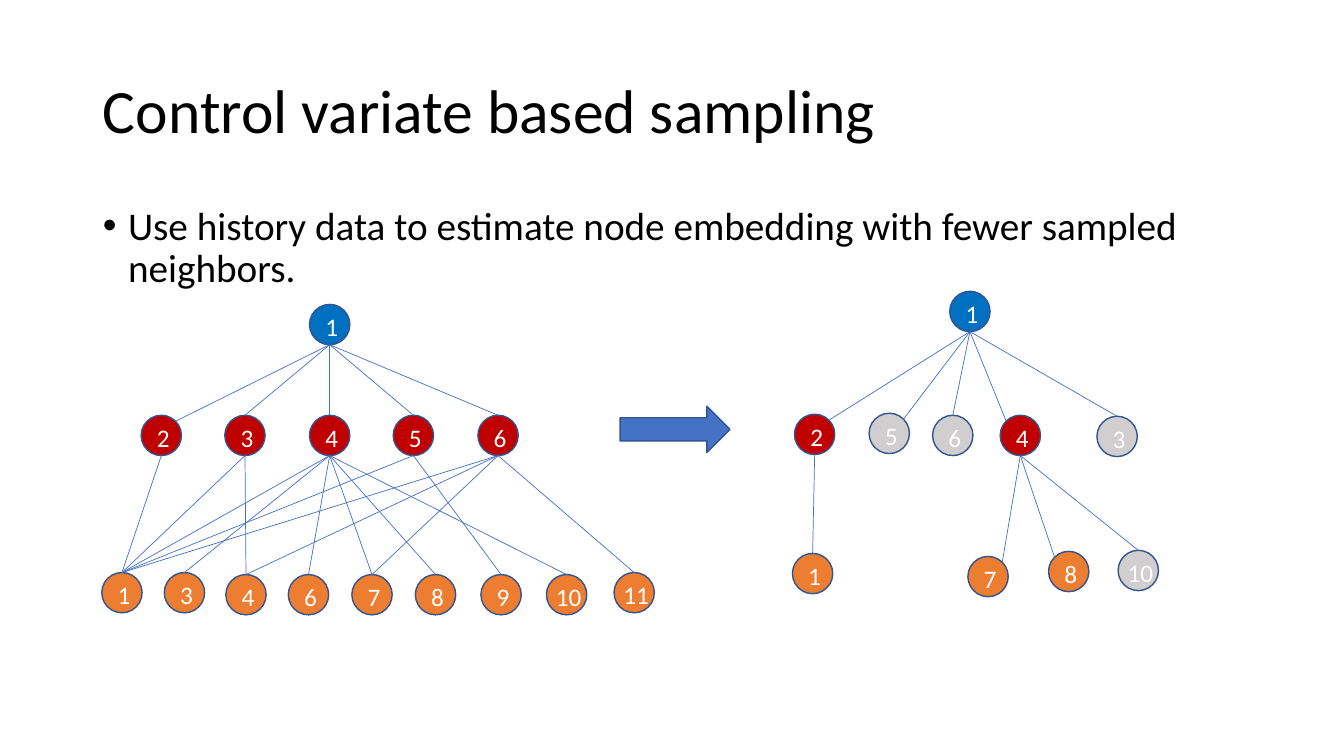
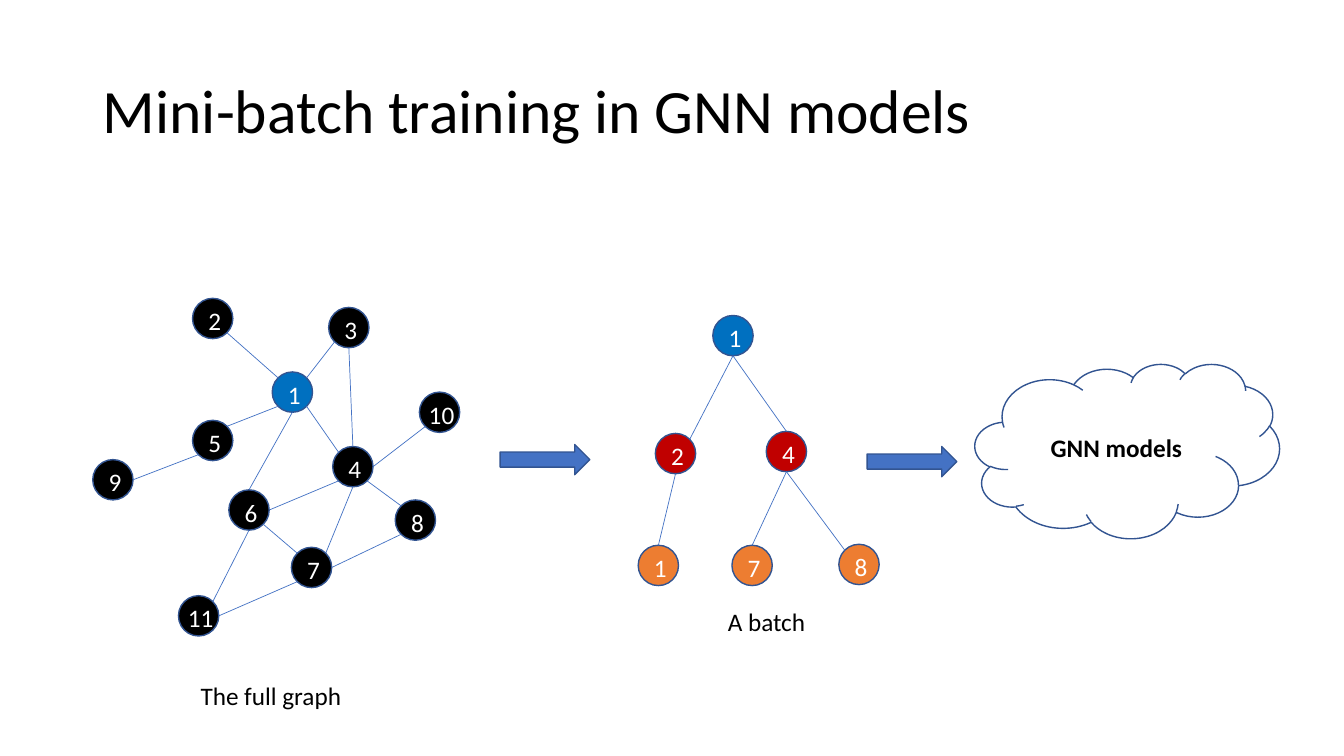
import pptx
import pptx.dml.color
import pptx.enum.shapes
import pptx.enum.text
import pptx.oxml.ns
import pptx.util
from lxml import etree

PX = 9144  # one hundredth of an inch
FONT = "Calibri"
BLACK, WHITE = "000000", "FFFFFF"
ACCENT, OUTLINE = "4472C4", "325491"
NODE_SIZE = 40

# A node key is a colour letter followed by the label of the node.
NODE_FILLS = {"B": "0070C0", "R": "C00000", "O": "ED7D31", "G": "D0CECE", "K": BLACK}
# Places on a node's rim, measured from its top left corner.
SITES = {"N": (20, 0), "NE": (34, 6), "E": (40, 20), "SE": (34, 34),
         "S": (20, 40), "SW": (6, 34), "W": (0, 20), "NW": (6, 6)}

FULL_TREE_NODES = {
    "B1": (307, 302),
    **{f"R{label}": (140 + step * 167 // 2, 412)
       for step, label in enumerate(range(2, 7))},
    "O1": (101, 568), "O3": (163, 568), "O4": (224, 570),
    "O6": (286, 570), "O7": (349, 570), "O8": (412, 570),
    "O9": (477, 570), "O10": (542, 570), "O11": (609, 568),
}
FULL_TREE_CHILDREN = {
    "B1": ["R3", "R4", "R5", "R6"],
    "R2": ["O1"],
    "R3": ["O1", "O4"],
    "R4": ["O1", "O3", "O6", "O7", "O8", "O10"],
    "R5": ["O1", "O9"],
    "R6": ["O1", "O4", "O7", "O11"],
}
FULL_TREE_EDGES = [("B1", "R2", "S", "NE")] + [
    (parent, child)
    for parent, children in FULL_TREE_CHILDREN.items() for child in children
]

SAMPLED_TREE_NODES = {
    "B1": (942, 289), "R2": (788, 411), "G5": (862, 410), "G6": (925, 412),
    "R4": (992, 412), "G3": (1088, 413), "O1": (786, 549), "O7": (960, 552),
    "O8": (1040, 547), "G10": (1109, 546),
}
SAMPLED_TREE_EDGES = [
    ("B1", "R2", "S", "NE"), ("B1", "G5", "S", "NE"), ("B1", "G6"),
    ("B1", "R4", "S", "NW"), ("B1", "G3"), ("R2", "O1"),
    ("R4", "O7", "S", "NE"), ("R4", "O8", "S", "NW"), ("R4", "G10"),
]

GRAPH_NODES = {
    "B1": (270, 369), "K2": (191, 296), "K3": (326, 305), "K4": (330, 443),
    "K5": (191, 417), "K6": (227, 486), "K7": (289, 543), "K8": (392, 496),
    "K9": (92, 456), "K10": (416, 389), "K11": (177, 591),
}
GRAPH_EDGES = [
    ("K3", "B1", "SW", "NE"), ("K2", "B1", "SE", "NW"), ("B1", "K5", "SW", "NE"),
    ("B1", "K4", "SE", "NW"), ("K6", "K4", "E", "SW"), ("K3", "K4"),
    ("K9", "K5", "E", "SW"), ("K6", "K7", "SE", "NW"), ("K8", "K7", "SW", "E"),
    ("K4", "K8", "SE", "NW"), ("B1", "K6"), ("K4", "K7", "S", "NE"),
    ("K4", "K10", "E", "SW"), ("K11", "K6", "NE", "S"), ("K11", "K7", "E", "SW"),
]

BATCH_NODES = {
    "B1": (707, 313), "R2": (650, 430), "R4": (760, 428),
    "O1": (633, 541), "O7": (726, 541), "O8": (832, 540),
}
BATCH_EDGES = [
    ("B1", "R2", "S", "NE"), ("B1", "R4"), ("R2", "O1"),
    ("R4", "O7"), ("R4", "O8", "S", "NW"),
]


def px(*lengths):
    """Turn px lengths into a list of EMU lengths."""
    return [pptx.util.Emu(length * PX) for length in lengths]


def color(value):
    return pptx.dml.color.RGBColor.from_string(value)


def write(text_frame, text, size, text_color=BLACK, bold=False, align="LEFT"):
    """Put one formatted paragraph in the frame and return it."""
    text_frame.text = text
    paragraph = text_frame.paragraphs[0]
    paragraph.alignment = getattr(pptx.enum.text.PP_ALIGN, align)
    for run in paragraph.runs:
        run.font.name = FONT
        run.font.size = pptx.util.Pt(size)
        run.font.bold = bold
        run.font.color.rgb = color(text_color)
    return paragraph


def fill_placeholder(placeholder, box, text, size):
    placeholder.left, placeholder.top, placeholder.width, placeholder.height = px(*box)
    paragraph = write(placeholder.text_frame, text, size)
    placeholder.text_frame.auto_size = pptx.enum.text.MSO_AUTO_SIZE.NONE
    paragraph.line_spacing = 0.9
    paragraph.space_before = pptx.util.Pt(0)
    return paragraph


def add_titled_slide(presentation, layout_index, title):
    slide = presentation.slides.add_slide(presentation.slide_layouts[layout_index])
    fill_placeholder(slide.shapes.title, (92, 40, 1150, 145), title, 44)
    return slide


def add_bullet(slide, text):
    paragraph = fill_placeholder(slide.placeholders[1], (92, 200, 1150, 476), text, 28)
    properties = paragraph._p.get_or_add_pPr()
    properties.set("marL", str(25 * PX))
    properties.set("indent", str(-25 * PX))


def add_outlined_shape(slide, kind, box, fill=None):
    shape_type = getattr(pptx.enum.shapes.MSO_SHAPE, kind)
    shape = slide.shapes.add_shape(shape_type, *px(*box))
    shape.shadow.inherit = False
    if fill:
        shape.fill.solid()
        shape.fill.fore_color.rgb = color(fill)
    else:
        shape.fill.background()
    shape.line.color.rgb = color(OUTLINE)
    shape.line.width = pptx.util.Pt(1)
    return shape


def add_arrow(slide, box):
    add_outlined_shape(slide, "RIGHT_ARROW", box, ACCENT)


def add_cloud(slide, box, text):
    cloud = add_outlined_shape(slide, "CLOUD", box)
    write(cloud.text_frame, text, 18, bold=True, align="CENTER")


def add_caption(slide, box, text):
    caption = slide.shapes.add_textbox(*px(*box))
    caption.text_frame.word_wrap = False
    write(caption.text_frame, text, 18)


def add_node(slide, key, position):
    node = add_outlined_shape(
        slide, "OVAL", (*position, NODE_SIZE, NODE_SIZE), NODE_FILLS[key[0]])
    frame = node.text_frame
    frame.word_wrap = False
    frame.margin_left, frame.margin_top, frame.margin_right, frame.margin_bottom = px(4, 4, 0, 0)
    frame.vertical_anchor = pptx.enum.text.MSO_ANCHOR.MIDDLE
    write(frame, key[1:], 18, WHITE, align="CENTER")


def add_edge(slide, start, end):
    connector = slide.shapes.add_connector(
        pptx.enum.shapes.MSO_CONNECTOR.STRAIGHT, *px(*start, *end))
    connector.line.color.rgb = color(ACCENT)
    connector.line.width = pptx.util.Pt(0.5)
    etree.SubElement(connector._element.spPr, pptx.oxml.ns.qn("a:effectLst"))


def rim_point(position, site):
    return [corner + offset for corner, offset in zip(position, SITES[site])]


def add_graph(slide, nodes, edges):
    """Draw nodes and edges; an edge runs from bottom to top unless it names its sites."""
    for key, position in nodes.items():
        add_node(slide, key, position)
    for start, end, *sites in edges:
        start_site, end_site = sites or ("S", "N")
        add_edge(slide, rim_point(nodes[start], start_site), rim_point(nodes[end], end_site))


def build_sampling_slide(presentation):
    slide = add_titled_slide(presentation, 1, "Control variate based sampling")
    add_bullet(slide, "Use history data to estimate node embedding with fewer "
                      "sampled neighbors.")
    add_arrow(slide, (615, 403, 109, 46))
    add_graph(slide, SAMPLED_TREE_NODES, SAMPLED_TREE_EDGES)
    add_graph(slide, FULL_TREE_NODES, FULL_TREE_EDGES)


def build_training_slide(presentation):
    slide = add_titled_slide(presentation, 5, "Mini-batch training in GNN models")
    add_graph(slide, GRAPH_NODES, GRAPH_EDGES)
    add_cloud(slide, (967, 361, 302, 173), "GNN models")
    add_arrow(slide, (860, 443, 89, 30))
    add_arrow(slide, (496, 441, 89, 30))
    add_caption(slide, (189, 670, 161, 40), "The full graph")
    add_caption(slide, (712, 597, 98, 40), "A batch")
    add_graph(slide, BATCH_NODES, BATCH_EDGES)


def main():
    presentation = pptx.Presentation()
    presentation.slide_width, presentation.slide_height = px(1333, 750)
    build_sampling_slide(presentation)
    build_training_slide(presentation)
    presentation.save("out.pptx")


if __name__ == "__main__":
    main()
